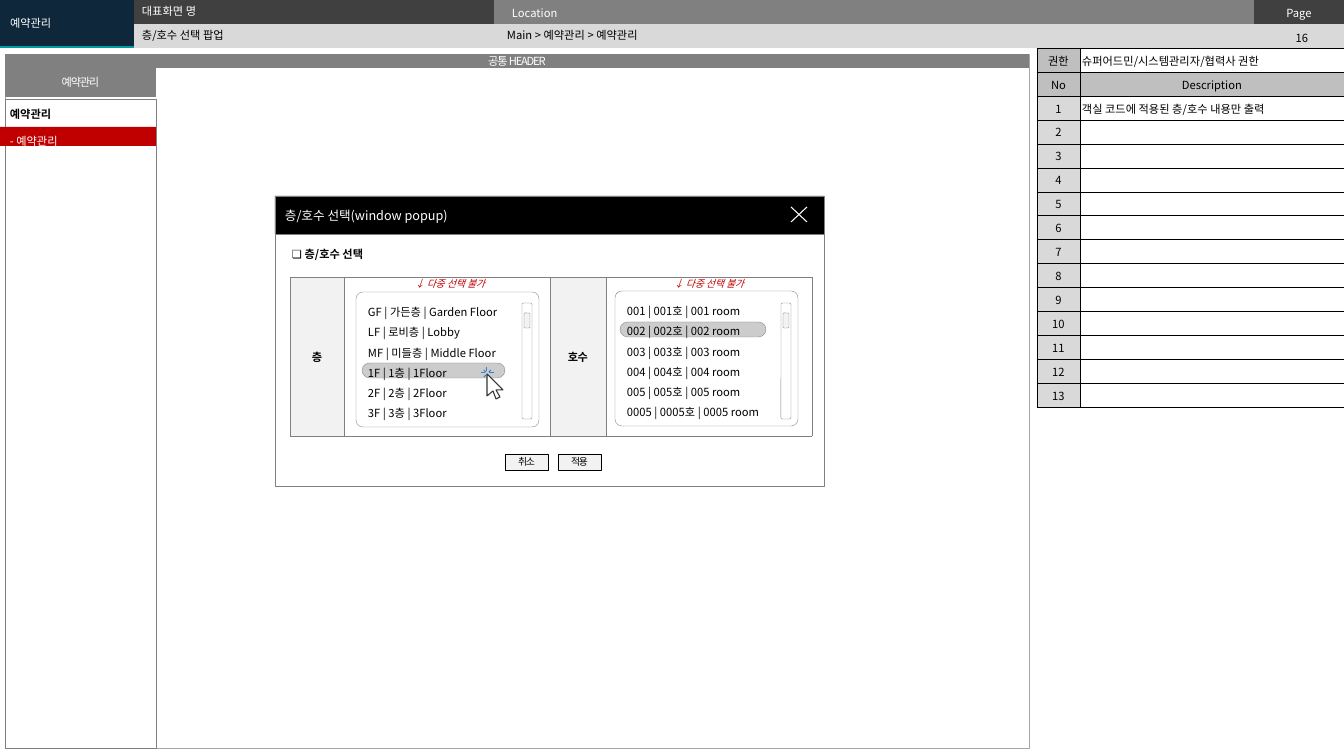
from lxml.etree import SubElement
from pptx import Presentation
from pptx.dml.color import RGBColor
from pptx.enum.shapes import MSO_SHAPE
from pptx.enum.text import MSO_ANCHOR, PP_ALIGN
from pptx.oxml.ns import qn
from pptx.util import Pt

PX = 12192000 / 1344
FONT = "Noto Sans CJK KR"
COLORS = {
    "white": "FFFFFF", "black": "000000", "navy": "0E273B", "teal": "009CA6",
    "charcoal": "404040", "gray": "808080", "frame": "A6A6A6", "heading": "BFBFBF",
    "silver": "D9D9D9", "pale": "F2F2F2", "red": "C00000", "pointer": "333333",
    "spark": "3483CB",
}


def px(length):
    return round(length * PX)


def rgb(name):
    return RGBColor.from_string(COLORS[name])


class Screen:
    """Draws wireframe elements on one slide in a shared style, in px."""

    def __init__(self, slide):
        self.shapes = slide.shapes

    def typeset(self, frame, lines, color="black", size=8, bold=False, italic=False,
                align=PP_ALIGN.LEFT, spacing=None, tracking=0):
        frame.text = lines
        for paragraph in frame.paragraphs:
            paragraph.alignment = align
            if spacing:
                paragraph.line_spacing = spacing
            for run in paragraph.runs:
                run.font.size = Pt(size)
                run.font.name = FONT
                run.font.bold = bold
                run.font.italic = italic
                run.font.color.rgb = rgb(color)
                properties = run._r.get_or_add_rPr()
                SubElement(properties, qn("a:ea")).set("typeface", FONT)
                if tracking:
                    properties.set("spc", str(tracking))

    def label(self, left, top, width, height, lines, anchor=MSO_ANCHOR.TOP, **style):
        frame = self.shapes.add_textbox(px(left), px(top), px(width), px(height)).text_frame
        frame.word_wrap = True
        frame.vertical_anchor = anchor
        self.typeset(frame, lines, **style)
        return frame

    def paint(self, shape, fill, line, weight):
        shape.shadow.inherit = False
        if fill:
            shape.fill.solid()
            shape.fill.fore_color.rgb = rgb(fill)
        else:
            shape.fill.background()
        if line:
            shape.line.color.rgb = rgb(line)
            shape.line.width = Pt(weight)
        else:
            shape.line.fill.background()

    def box(self, left, top, width, height, fill=None, line=None, weight=0.25, lines=None,
            rounding=None, alpha=None, insets=(10, 5), anchor=MSO_ANCHOR.MIDDLE, **style):
        kind = MSO_SHAPE.RECTANGLE if rounding is None else MSO_SHAPE.ROUNDED_RECTANGLE
        shape = self.shapes.add_shape(kind, px(left), px(top), px(width), px(height))
        self.paint(shape, fill, line, weight)
        if rounding is not None:
            shape.adjustments[0] = rounding
        if alpha:
            tint = shape._element.spPr.find(qn("a:solidFill")).find(qn("a:srgbClr"))
            SubElement(tint, qn("a:alpha")).set("val", str(alpha * 1000))
        if lines:
            frame = shape.text_frame
            frame.word_wrap = True
            frame.vertical_anchor = anchor
            frame.margin_left = frame.margin_right = px(insets[0])
            frame.margin_top = frame.margin_bottom = px(insets[1])
            self.typeset(frame, lines, **style)

    def outline(self, strokes, line, fill=None, close=False):
        builder = self.shapes.build_freeform(*strokes[0][0], scale=PX)
        for number, (start, *rest) in enumerate(strokes):
            if number:
                builder.move_to(*start)
            builder.add_line_segments(rest, close=close)
        self.paint(builder.convert_to_shape(), fill, line, 0.75)

    def table(self, left, top, widths, heights):
        grid = self.shapes.add_table(len(heights), len(widths), px(left), px(top),
                                     px(sum(widths)), px(sum(heights))).table
        grid.first_row = grid.horz_banding = False
        for column, width in zip(grid.columns, widths):
            column.width = px(width)
        for row, height in zip(grid.rows, heights):
            row.height = px(height)
        return grid

    def cell(self, cell, fill, lines="", border=None, weight=0.25, insets=(2, 4),
             anchor=MSO_ANCHOR.TOP, **style):
        cell.margin_left = cell.margin_right = px(insets[0])
        cell.margin_top = cell.margin_bottom = px(insets[1])
        cell.vertical_anchor = anchor
        if lines:
            self.typeset(cell.text_frame, lines, **style)
        else:
            cell.text_frame.paragraphs[0]._p.get_or_add_endParaRPr().set("sz", "800")
        properties = cell._tc.get_or_add_tcPr()
        for side in ("a:lnL", "a:lnR", "a:lnT", "a:lnB"):
            edge = SubElement(properties, qn(side), w=str(Pt(weight)))
            if border:
                paint = SubElement(edge, qn("a:solidFill"))
                SubElement(paint, qn("a:srgbClr")).set("val", COLORS[border])
            else:
                SubElement(edge, qn("a:noFill"))
        cell.fill.solid()
        cell.fill.fore_color.rgb = rgb(fill)

    def picker(self, left, top, options, highlight_left, highlight_top, highlight_width):
        self.box(left + 168, 313, 6, 15, "pale", "gray", rounding=0.17)
        self.box(left + 166, 303, 10, 116, line="gray", rounding=0.17)
        self.box(left, top, 183, 135, line="gray", rounding=0.05, lines="\n".join(options),
                 anchor=MSO_ANCHOR.TOP, spacing=1.5)
        self.label(left + 49, 273, 90, 22, "↓ 다중 선택 불가", color="red", size=7, italic=True)
        self.box(highlight_left, highlight_top, highlight_width, 15, "black", "gray",
                 rounding=0.5, alpha=20)


def draw_header(screen):
    banner = screen.table(0, 0, [134, 360, 760, 90], [24, 24])
    banner.cell(0, 0).merge(banner.cell(1, 0))
    fills = [["teal", "charcoal", "gray", "charcoal"], ["teal", "silver", "silver", "silver"]]
    captions = {(0, 2): ("Location", PP_ALIGN.LEFT), (0, 3): ("Page", PP_ALIGN.CENTER)}
    for r, row in enumerate(fills):
        for c, fill in enumerate(row):
            caption, align = captions.get((r, c), ("", PP_ALIGN.LEFT))
            screen.cell(banner.cell(r, c), fill, caption, insets=(18, 4), color="white",
                        align=align)
    middle = MSO_ANCHOR.MIDDLE
    screen.label(1258, 26, 88, 24, "16", align=PP_ALIGN.CENTER)
    screen.label(132, 24, 366, 22, "층/호수 선택 팝업", middle)
    screen.label(497, 23, 744, 24, "Main > 예약관리 > 예약관리", middle)
    screen.label(132, 0, 365, 22, "대표화면 명", middle, color="white")
    screen.box(0, 0, 134, 46, "navy", lines="예약관리", color="white")


def draw_page_frame(screen):
    screen.box(5, 54, 1024, 694, line="frame")
    screen.box(5, 99, 151, 649, line="gray")
    for top, width, height, title in ((54, 1024, 14, "공통 HEADER"), (68, 151, 29, "예약관리")):
        screen.box(5, top, width, height, "gray", lines=title, insets=(4, 5), color="white",
                   align=PP_ALIGN.CENTER, tracking=-90)
    screen.box(0, 127, 156, 19, "red")
    menu = screen.label(0, 89, 159, 60, "예약관리\n- 예약관리", bold=True, spacing=2)
    selected = menu.paragraphs[1].runs[0].font
    selected.bold = False
    selected.color.rgb = rgb("white")


def draw_description(screen):
    rows = [("권한", "슈퍼어드민/시스템관리자/협력사 권한"), ("No", "Description"),
            ("1", "객실 코드에 적용된 층/호수 내용만 출력")]
    rows += [(str(number), "") for number in range(2, 14)]
    notes = screen.table(1037, 48, [43, 264], [24] * len(rows))
    for r, (key, note) in enumerate(rows):
        screen.cell(notes.cell(r, 0), "heading" if r < 2 else "silver", key, "black", 0.5,
                    anchor=MSO_ANCHOR.MIDDLE, align=PP_ALIGN.CENTER)
        screen.cell(notes.cell(r, 1), "heading" if r == 1 else "white", note, "black", 0.5,
                    align=PP_ALIGN.CENTER if r == 1 else PP_ALIGN.LEFT)


def draw_popup(screen):
    screen.box(275, 234, 549, 252, "white", "gray", 0.5)
    screen.box(275, 196, 549, 38, "black", "gray", 0.5, "층/호수 선택(window popup)",
               color="white", size=9)
    screen.outline([[(807, 207), (791, 222)], [(791, 207), (807, 222)]], "white")
    screen.label(282, 242, 256, 24, "❏ 층/호수 선택", bold=True)
    form = screen.table(290, 277, [54, 206, 56, 206], [159])
    for c, title in enumerate(("층", "", "호수", "")):
        screen.cell(form.cell(0, c), "pale" if title else "white", title, "gray",
                    anchor=MSO_ANCHOR.MIDDLE, bold=True, align=PP_ALIGN.CENTER, tracking=-30)
    rooms = [f"{room} | {room}호 | {room} room"
             for room in ("001", "002", "003", "004", "005", "0005")]
    floors = ["GF | 가든층 | Garden Floor", "LF | 로비층 | Lobby", "MF | 미들층 | Middle Floor"]
    floors += [f"{floor}F | {floor}층 | {floor}Floor" for floor in (1, 2, 3)]
    screen.picker(615, 291, rooms, 620, 322, 146)
    screen.picker(356, 292, floors, 362, 363, 143)
    for left, action in ((505, "취소"), (558, "적용")):
        screen.box(left, 454, 43, 16, "pale", "black", lines=action, insets=(0, 0), size=7,
                   align=PP_ALIGN.CENTER, tracking=-90)
    screen.outline([[(500, 397), (496, 390), (503, 390), (487, 374), (487, 396), (493, 391),
                     (496, 399)]], "pointer", "white", close=True)
    screen.outline([[(486, 375), (484, 377)], [(486, 372), (484, 370)], [(489, 372), (491, 370)],
                    [(485, 373), (481, 373)], [(487, 371), (487, 367)],
                    [(489, 373), (494, 373)]], "spark")


def main():
    deck = Presentation()
    deck.slide_width, deck.slide_height = px(1344), px(756)
    screen = Screen(deck.slides.add_slide(deck.slide_layouts[6]))
    draw_header(screen)
    draw_page_frame(screen)
    draw_description(screen)
    draw_popup(screen)
    deck.save("out.pptx")


if __name__ == "__main__":
    main()
